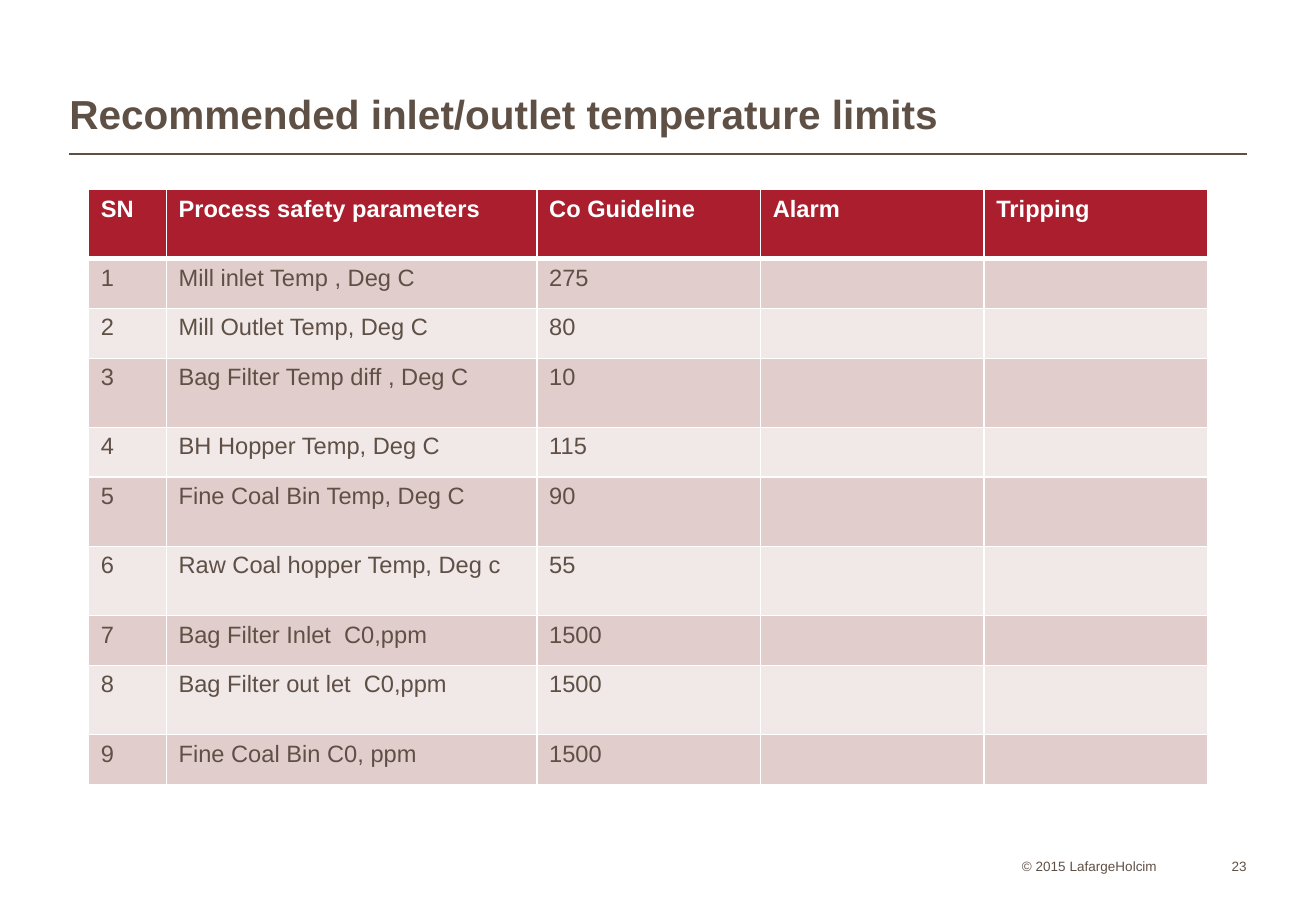
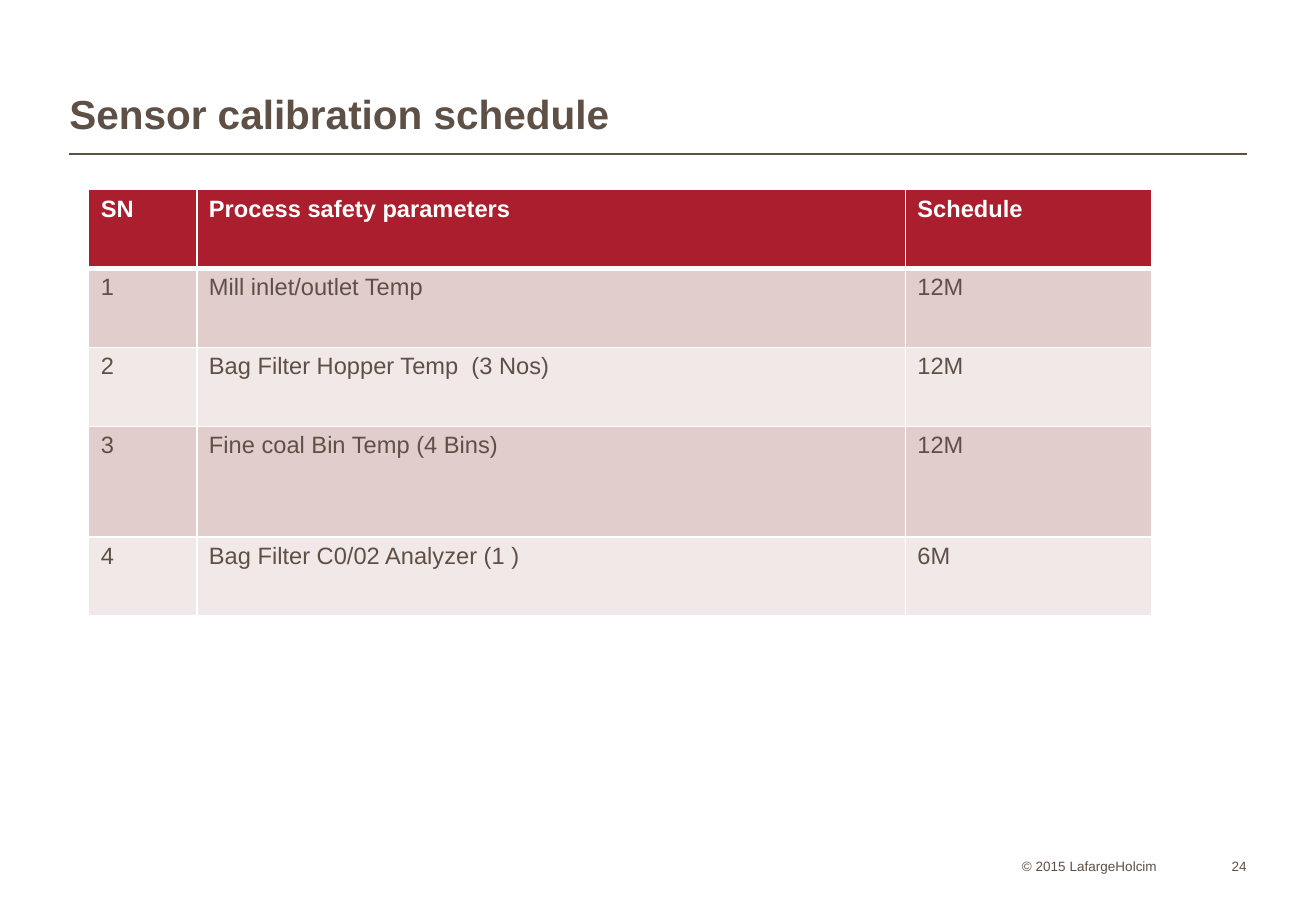
from lxml.etree import SubElement
from pptx import Presentation
from pptx.dml.color import RGBColor
from pptx.enum.shapes import MSO_CONNECTOR
from pptx.enum.text import MSO_ANCHOR, PP_ALIGN
from pptx.oxml.ns import qn
from pptx.util import Inches, Pt


def color(hex_value):
    return RGBColor.from_string(hex_value)


class Deck:
    FONT = "Arial"
    BROWN = "5F5046"
    RED = "AA1E2D"
    WHITE = "FFFFFF"
    BANDS = ("E2CDCD", "F1E8E8")
    LEFT, RIGHT = 0.57, 10.26
    RULE_TOP = 1.27
    FOOTER_TOP, FOOTER_HEIGHT = 7.02, 0.18
    TABLE_LEFT, TABLE_TOP = 0.73, 1.56

    def __init__(self):
        self.presentation = Presentation()
        self.presentation.slide_width = Inches(10.83)
        self.presentation.slide_height = Inches(7.5)
        self.slide = None

    def add_slide(self, title, number):
        layout = self.presentation.slide_layouts[6]
        self.slide = self.presentation.slides.add_slide(layout)
        self.rule()
        self.text("© 2015 LafargeHolcim", 8.41, self.FOOTER_TOP, 1.32, self.FOOTER_HEIGHT, 8)
        heading = self.text(title, self.LEFT, 0.21, self.RIGHT - self.LEFT, 0.93, 24, bold=True)
        heading.line_spacing = 0.95
        page = self.text(str(number), 9.79, self.FOOTER_TOP, 0.47, self.FOOTER_HEIGHT, 8)
        page.alignment = PP_ALIGN.RIGHT

    def rule(self):
        line = self.slide.shapes.add_connector(
            MSO_CONNECTOR.STRAIGHT, Inches(self.LEFT), Inches(self.RULE_TOP),
            Inches(self.RIGHT), Inches(self.RULE_TOP))
        line.line.color.rgb = color(self.BROWN)
        line.line.width = Pt(1)
        SubElement(line._element.spPr, qn("a:effectLst"))

    def run(self, paragraph, text, size, ink, bold=False):
        run = paragraph.add_run()
        run.text = text
        run.font.name = self.FONT
        run.font.size = Pt(size)
        run.font.bold = bold
        run.font.color.rgb = color(ink)

    def text(self, text, left, top, width, height, size, bold=False):
        box = self.slide.shapes.add_textbox(
            Inches(left), Inches(top), Inches(width), Inches(height))
        frame = box.text_frame
        frame.word_wrap = True
        frame.vertical_anchor = MSO_ANCHOR.BOTTOM
        frame.margin_left = frame.margin_right = frame.margin_top = frame.margin_bottom = 0
        paragraph = frame.paragraphs[0]
        self.run(paragraph, text, size, self.BROWN, bold)
        return paragraph

    def borders(self, cell, row_index):
        widths = {
            "L": 1,
            "R": 1,
            "T": 3 if row_index == 1 else 1,
            "B": 3 if row_index == 0 else 1,
        }
        properties = cell._tc.get_or_add_tcPr()
        for side, width in widths.items():
            line = SubElement(properties, qn(f"a:ln{side}"), w=str(Pt(width)))
            fill = SubElement(line, qn("a:solidFill"))
            SubElement(fill, qn("a:srgbClr"), val=self.WHITE)

    def table(self, widths, heights, rows):
        table = self.slide.shapes.add_table(
            len(rows), len(widths), Inches(self.TABLE_LEFT), Inches(self.TABLE_TOP),
            Inches(sum(widths)), Inches(sum(heights))).table
        for column, width in zip(table.columns, widths):
            column.width = Inches(width)
        for row_index, (values, height) in enumerate(zip(rows, heights)):
            table.rows[row_index].height = Inches(height)
            header = row_index == 0
            background = self.RED if header else self.BANDS[(row_index - 1) % 2]
            ink = self.WHITE if header else self.BROWN
            for column_index in range(len(widths)):
                cell = table.cell(row_index, column_index)
                self.borders(cell, row_index)
                cell.fill.solid()
                cell.fill.fore_color.rgb = color(background)
                if column_index < len(values):
                    paragraph = cell.text_frame.paragraphs[0]
                    self.run(paragraph, values[column_index], 14, ink, header)


def numbered(header, entries):
    return [header] + [(str(number), *entry) for number, entry in enumerate(entries, 1)]


def main():
    deck = Deck()

    deck.add_slide("Recommended inlet/outlet temperature limits", 23)
    low, high = 0.41, 0.57
    deck.table(
        [0.64, 3.05] + [1.84] * 3,
        [high, low, low, high, low, high, high, low, high, low],
        numbered(("SN", "Process safety parameters", "Co Guideline", "Alarm", "Tripping"), [
            ("Mill inlet Temp , Deg C", "275"),
            ("Mill Outlet Temp, Deg C", "80"),
            ("Bag Filter Temp diff , Deg C", "10"),
            ("BH Hopper Temp, Deg C", "115"),
            ("Fine Coal Bin Temp, Deg C", "90"),
            ("Raw Coal hopper Temp, Deg c", "55"),
            ("Bag Filter Inlet  C0,ppm", "1500"),
            ("Bag Filter out let  C0,ppm", "1500"),
            ("Fine Coal Bin C0, ppm", "1500"),
        ]))

    deck.add_slide("Sensor calibration schedule", 24)
    deck.table(
        [0.89, 5.83, 2.03],
        [0.65, 0.65, 0.65, 0.91, 0.65],
        numbered(("SN", "Process safety parameters", "Schedule"), [
            ("Mill inlet/outlet Temp", "12M"),
            ("Bag Filter Hopper Temp  (3 Nos)", "12M"),
            ("Fine coal Bin Temp (4 Bins)", "12M"),
            ("Bag Filter C0/02 Analyzer (1 )", "6M"),
        ]))

    deck.presentation.save("out.pptx")


if __name__ == "__main__":
    main()
